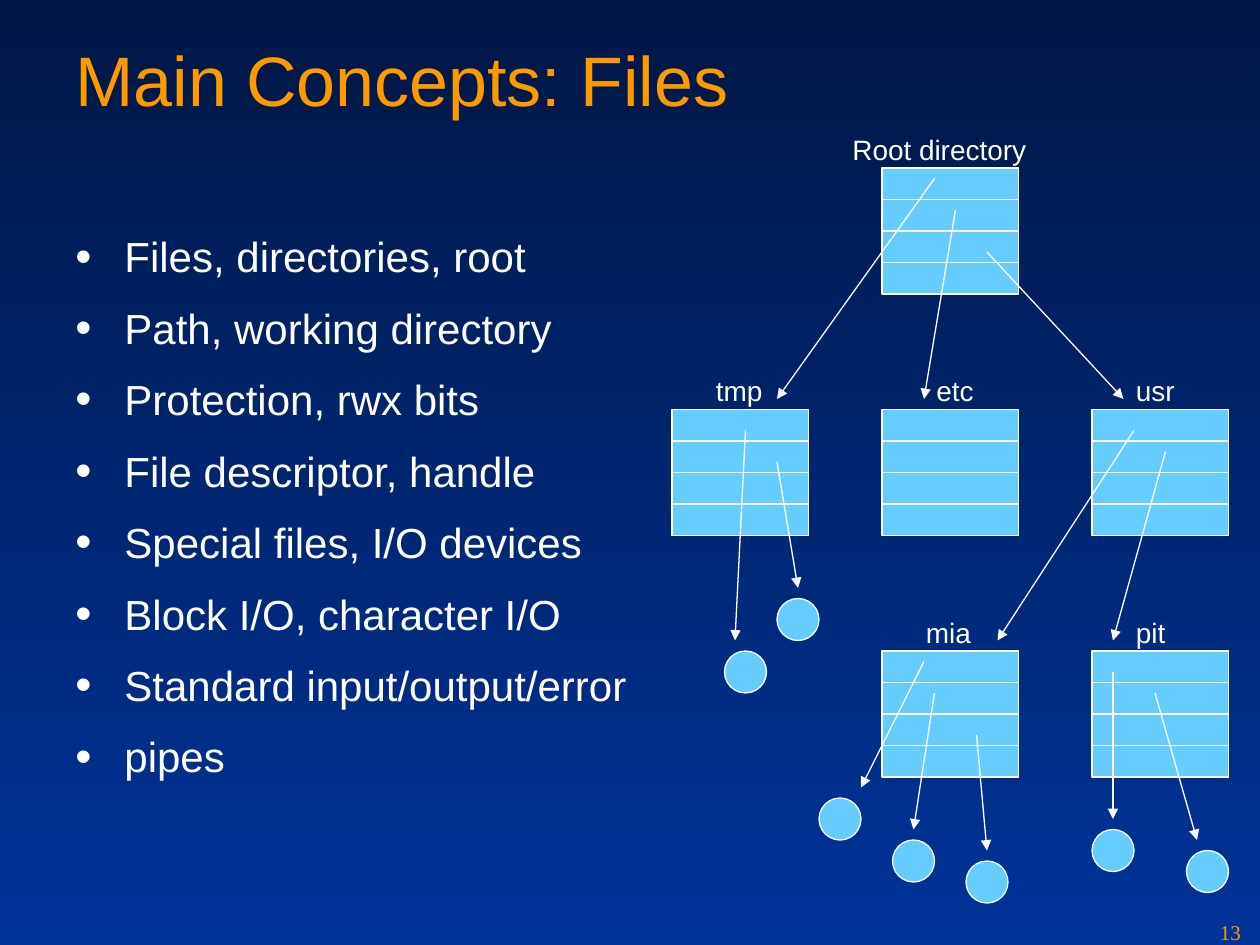
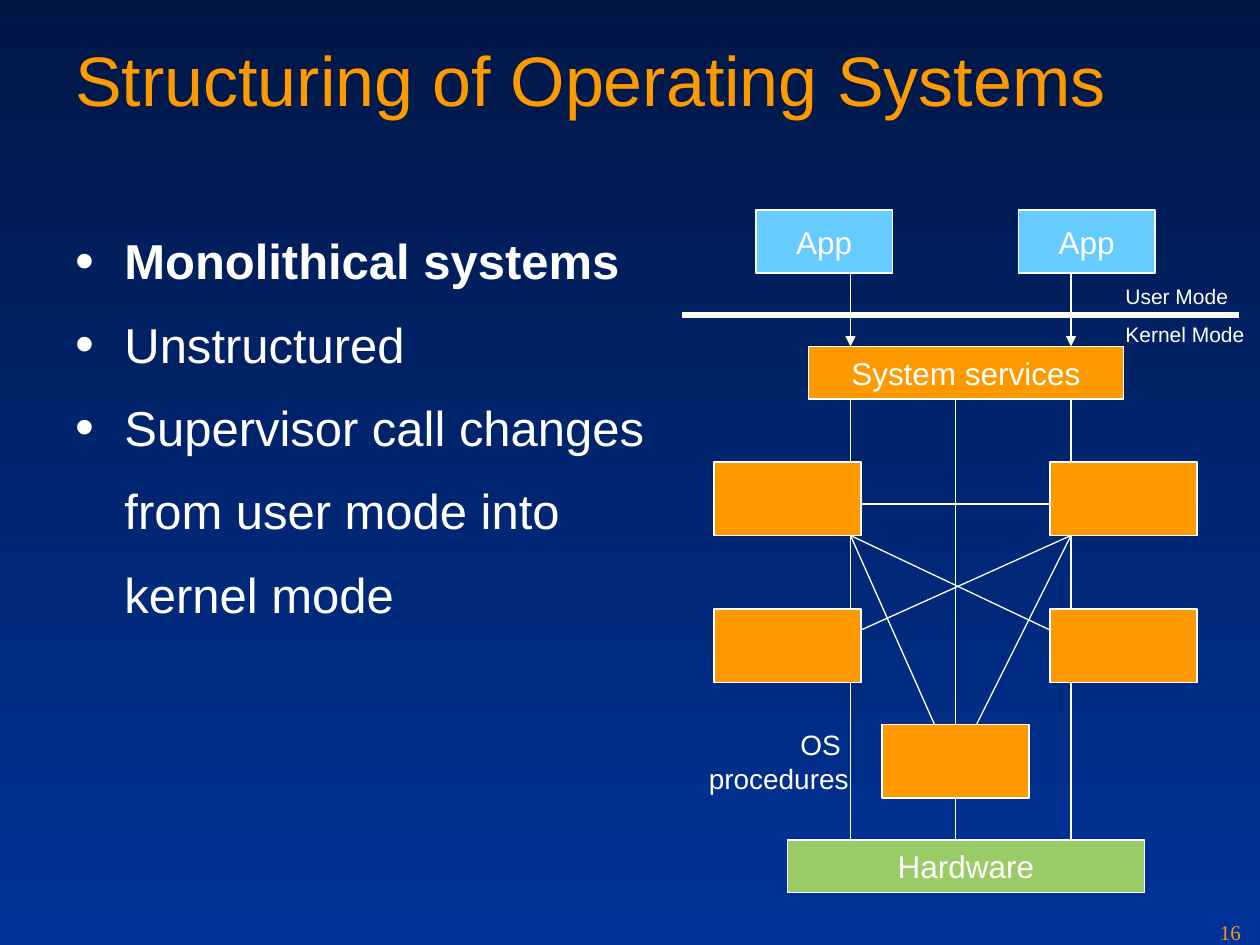
from lxml import etree
from pptx import Presentation
from pptx.dml.color import RGBColor
from pptx.enum.shapes import MSO_CONNECTOR, MSO_SHAPE
from pptx.enum.text import MSO_ANCHOR, PP_ALIGN
from pptx.oxml.ns import qn
from pptx.util import Cm, Pt

RECT, OVAL = MSO_SHAPE.RECTANGLE, MSO_SHAPE.OVAL
STRAIGHT = MSO_CONNECTOR.STRAIGHT
LEFT, CENTER, RIGHT = PP_ALIGN.LEFT, PP_ALIGN.CENTER, PP_ALIGN.RIGHT
MIDDLE = MSO_ANCHOR.MIDDLE

TOP_BLUE, BOTTOM_BLUE = "001746", "003399"
TITLE_ORANGE, ORANGE = "FE9900", "FF9900"
SKY, GREEN, WHITE = "66CCFF", "99CC66", "FFFFFF"
SANS, SERIF = "Arial", "Times New Roman"

# All places and sizes are in grid units, twelve to the inch.
SLIDE_SIZE = (120, 90)
TITLE_BOX = (6, 2.9, 108, 15)
BODY_BOX = (6, 21.4, 108, 60.4)
NUMBER_BOX = (115, 87, 5, 3)

# Slide 1: the directory tree
FILES_BULLETS = [
    "Files, directories, root", "Path, working directory",
    "Protection, rwx bits", "File descriptor, handle",
    "Special files, I/O devices", "Block I/O, character I/O",
    "Standard input/output/error", "pipes",
]
DIR_ROWS, DIR_W, ROW_H = 4, 13, 3
DIRECTORIES = [(84, 16), (64, 39), (84, 39), (104, 39), (84, 62), (104, 62)]
DIR_LABELS = [  # name, left, top
    ("Root directory", 80, 12), ("tmp", 67, 35), ("usr", 107, 35),
    ("etc", 88, 35), ("pit", 107, 58), ("mia", 87, 58),
]
DIR_LABEL_W, DIR_LABEL_H = 20, 4.4
FILE_SIZE = 4
FILE_DOTS = [(78, 76), (85, 80), (92, 82), (104, 79), (113, 81),
             (69, 62), (74, 57)]
POINTERS = [  # from x, y to x, y
    (89, 17, 74, 38), (91, 20, 88, 38), (94, 24, 107, 38),
    (108, 41, 95, 61), (111, 43, 106, 61),
    (89, 66, 87, 79), (88, 63, 82, 75), (93, 70, 94, 81),
    (106, 64, 106, 78), (110, 66, 114, 80),
    (71, 41, 70, 61), (74, 44, 76, 56),
]

# Slide 2: the monolithic structure
MONOLITH_BULLETS = ["Monolithical systems", "Unstructured",
                    "Supervisor call changes"]
MONOLITH_CONTINUED = ["from user mode into", "kernel mode"]
LAYERS = [  # text, fill, box
    ("App", SKY, (72, 20, 13, 6)),
    ("App", SKY, (97, 20, 13, 6)),
    ("System services", ORANGE, (77, 33, 30, 5)),
    ("Hardware", GREEN, (75, 80, 34, 5)),
]
PROC_W, PROC_H = 14, 7
PROCEDURES = [(68, 44), (68, 58), (100, 44), (100, 58), (84, 69)]
LEFT_X, MID_X, RIGHT_X = 81, 91, 102
SIDE_SPANS = [(38, 44), (51, 58), (65, 80)]
MID_SPANS = [(38, 69), (76, 80)]
CROSS_CALLS = [
    (82, 48, 100, 48), (LEFT_X, 51, 100, 60), (RIGHT_X, 51, 82, 60),
    (LEFT_X, 51, 89, 69), (RIGHT_X, 51, 93, 69),
]
MODE_LINE = (65, 30, 118, 30)
MODE_LABELS = [("User Mode", (106, 26.4, 14, 3.6)),
               ("Kernel Mode", (106, 30, 14, 3.6))]
PROC_LABEL = (["OS ", "procedures"], (62, 68.7, 20, 7.7))


def grid(*units):
    return [Cm(u * 2.54 / 12) for u in units]


def rgb(color):
    return RGBColor.from_string(color)


def style(p, size, color=WHITE, font=SANS, align=LEFT):
    p.alignment = align
    p.font.size, p.font.name = Pt(size), font
    p.font.color.rgb = rgb(color)


def add_text(s, lines, box, size, **looks):
    tf = s.shapes.add_textbox(*grid(*box)).text_frame
    tf.word_wrap = True
    tf.text = "\n".join(lines)
    for p in tf.paragraphs:
        style(p, size, **looks)
    return tf


def add_box(s, kind, box, fill, text=""):
    sp = s.shapes.add_shape(kind, *grid(*box))
    sp.shadow.inherit = False
    sp.fill.solid()
    sp.fill.fore_color.rgb = rgb(fill)
    sp.line.color.rgb = rgb(WHITE)
    sp.line.width = Pt(0.75)
    if text:
        tf = sp.text_frame
        tf.word_wrap, tf.vertical_anchor = False, MIDDLE
        tf.text = text
        style(tf.paragraphs[0], 18, align=CENTER)


def add_line(s, ends, width=0.75, arrow=False):
    c = s.shapes.add_connector(STRAIGHT, *grid(*ends))
    c.line.color.rgb = rgb(WHITE)
    c.line.width = Pt(width)
    if arrow:
        etree.SubElement(c.line._get_or_add_ln(), qn("a:tailEnd"), type="triangle")
    etree.SubElement(c._element.spPr, qn("a:effectLst"))


def add_bullets(s, bullets, size, continued=()):
    """Write bulleted lines, then unbulleted ones under the last bullet."""
    tf = add_text(s, [*bullets, *continued], BODY_BOX, size)
    for i, p in enumerate(tf.paragraphs):
        p.space_before = Pt(size / 4 if i else 0)
        p.space_after = Pt(size / 4)
        pPr = p._p.get_or_add_pPr()
        hang = Cm(0.99)
        pPr.set("marL", str(hang))
        if i < len(bullets):
            pPr.set("indent", str(-hang))
            color = etree.Element(qn("a:buClr"))
            etree.SubElement(color, qn("a:srgbClr"), val=WHITE)
            marks = [color,
                     etree.Element(qn("a:buSzPct"), val="110000"),
                     etree.Element(qn("a:buFont"), typeface=SANS),
                     etree.Element(qn("a:buChar"), char="•")]
            for mark in marks:
                pPr.insert_element_before(mark, "a:tabLst", "a:defRPr", "a:extLst")
    return tf


def new_slide(prs, title, number):
    s = prs.slides.add_slide(prs.slide_layouts[6])
    fill = s.background.fill
    fill.gradient()
    fill.gradient_angle = 270
    for stop, color in zip(fill.gradient_stops, (TOP_BLUE, BOTTOM_BLUE)):
        stop.color.rgb = rgb(color)
    add_text(s, [title], TITLE_BOX, 40, color=TITLE_ORANGE)
    add_text(s, [number], NUMBER_BOX, 12, color=TITLE_ORANGE, font=SERIF)
    return s


def build_files(prs):
    s = new_slide(prs, "Main Concepts: Files", "13")
    add_bullets(s, FILES_BULLETS, 24)
    for x, y in DIRECTORIES:
        for row in range(DIR_ROWS):
            add_box(s, RECT, (x, y + row * ROW_H, DIR_W, ROW_H), SKY)
    for name, x, y in DIR_LABELS:
        width = min(DIR_LABEL_W, SLIDE_SIZE[0] - x)
        add_text(s, [name], (x, y, width, DIR_LABEL_H), 16)
    for x, y in FILE_DOTS:
        add_box(s, OVAL, (x, y, FILE_SIZE, FILE_SIZE), SKY)
    for ends in POINTERS:
        add_line(s, ends, arrow=True)


def build_structure(prs):
    s = new_slide(prs, "Structuring of Operating Systems", "16")
    tf = add_bullets(s, MONOLITH_BULLETS, 28, MONOLITH_CONTINUED)
    tf.paragraphs[0].font.bold = True
    for text, fill, box in LAYERS:
        add_box(s, RECT, box, fill, text)
    for x, y in PROCEDURES:
        add_box(s, RECT, (x, y, PROC_W, PROC_H), ORANGE)
    for x in (LEFT_X, RIGHT_X):
        add_line(s, (x, 26, x, 33), arrow=True)
    for x, spans in ((LEFT_X, SIDE_SPANS), (RIGHT_X, SIDE_SPANS), (MID_X, MID_SPANS)):
        for top, bottom in spans:
            add_line(s, (x, top, x, bottom))
    for ends in CROSS_CALLS:
        add_line(s, ends)
    add_line(s, MODE_LINE, width=3)
    lines, box = PROC_LABEL
    add_text(s, lines, box, 16, align=RIGHT)
    for text, box in MODE_LABELS:
        add_text(s, [text], box, 12)


def main():
    prs = Presentation()
    prs.slide_width, prs.slide_height = grid(*SLIDE_SIZE)
    build_files(prs)
    build_structure(prs)
    prs.save("out.pptx")


if __name__ == "__main__":
    main()
